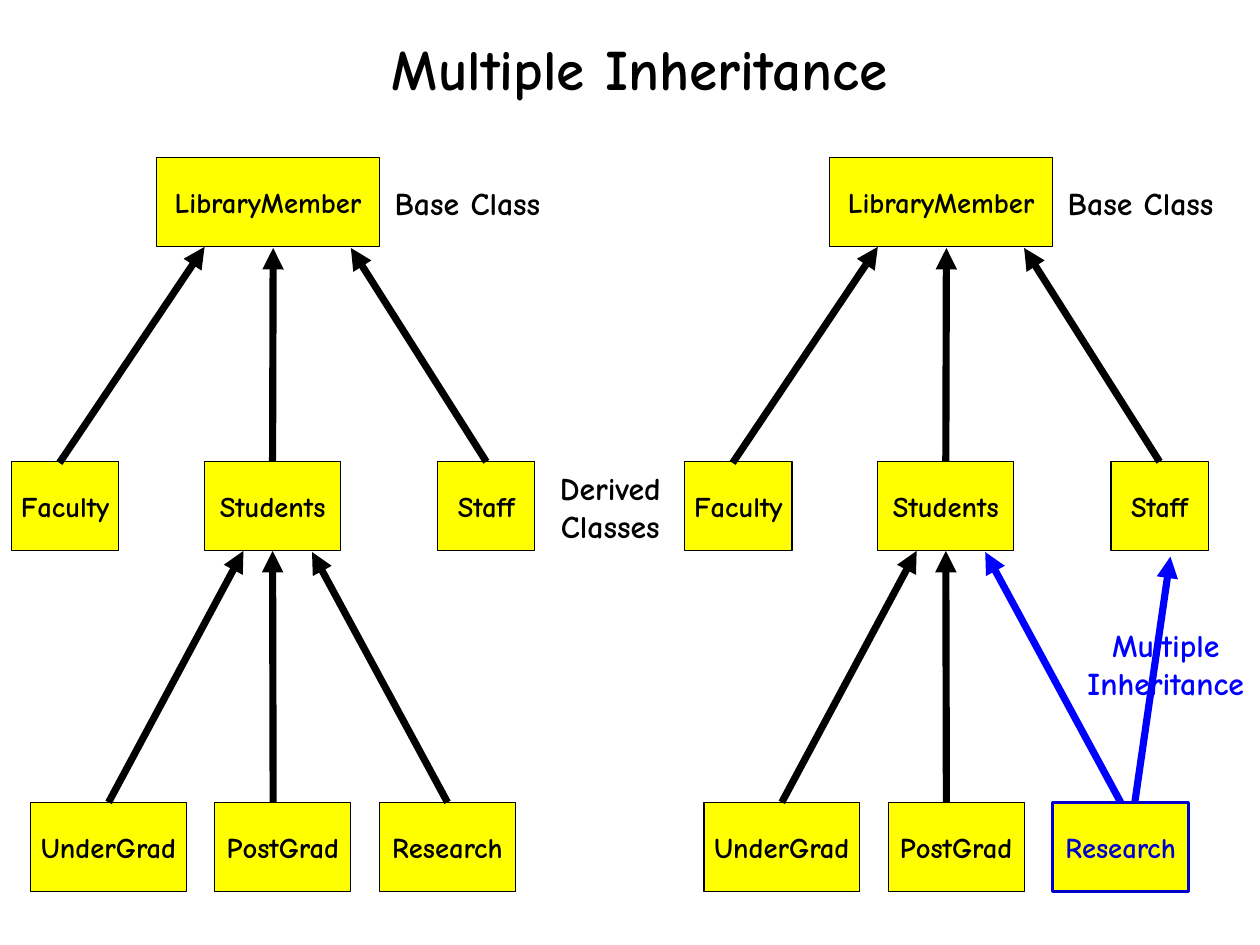
from pptx import Presentation
from pptx.dml.color import RGBColor
from pptx.enum.shapes import MSO_CONNECTOR, MSO_SHAPE
from pptx.enum.text import MSO_ANCHOR, MSO_AUTO_SIZE, PP_ALIGN
from pptx.oxml.ns import qn
from pptx.util import Inches, Pt
from lxml import etree

FONT = "Comic Neue"
COLORS = {"black": "000000", "yellow": "FFFF00", "navy": "0000CC", "blue": "0000FF"}
TOP, BOTTOM = 0, 2
BOX_HEIGHT = 0.78
TREE_OFFSET = 5.89

# name: left, top, width within one tree
CLASSES = {
    "LibraryMember": (1.37, 1.38, 1.95),
    "Faculty": (0.1, 4.04, 0.94),
    "Students": (1.79, 4.04, 1.19),
    "Staff": (3.83, 4.04, 0.85),
    "UnderGrad": (0.27, 7.02, 1.36),
    "PostGrad": (1.88, 7.02, 1.19),
    "Research": (3.32, 7.02, 1.19),
}
# child, start x, start y, parent, end x, end y, child joined, parent joined
ARROWS = [
    ("Faculty", 0.52, 4.05, "LibraryMember", 1.79, 2.16, False, False),
    ("Students", 2.39, 4.04, "LibraryMember", 2.39, 2.17, True, False),
    ("Staff", 4.26, 4.04, "LibraryMember", 3.07, 2.17, True, False),
    ("UnderGrad", 0.95, 7.02, "Students", 2.13, 4.82, True, False),
    ("PostGrad", 2.39, 7.02, "Students", 2.39, 4.82, False, True),
    ("Research", 3.92, 7.02, "Students", 2.73, 4.83, True, False),
]


def write_text(shape, lines, size, color):
    """Fill a shape with centred bold lines and no insets."""
    frame = shape.text_frame
    frame.auto_size = MSO_AUTO_SIZE.NONE
    frame.word_wrap = True
    frame.vertical_anchor = MSO_ANCHOR.MIDDLE
    frame.margin_left = frame.margin_right = frame.margin_top = frame.margin_bottom = 0
    frame.text = "\n".join(lines)
    for paragraph in frame.paragraphs:
        paragraph.alignment = PP_ALIGN.CENTER
        paragraph.font.name = FONT
        paragraph.font.size = Pt(size)
        paragraph.font.bold = True
        paragraph.font.color.rgb = RGBColor.from_string(COLORS[color])


def add_arrow(start_x, start_y, end_x, end_y, color):
    arrow = slide.shapes.add_connector(
        MSO_CONNECTOR.STRAIGHT,
        Inches(start_x), Inches(start_y), Inches(end_x), Inches(end_y))
    arrow.line.width = Pt(4.5)
    arrow.line.color.rgb = RGBColor.from_string(COLORS[color])
    properties = arrow._element.spPr
    etree.SubElement(properties.find(qn("a:ln")), qn("a:tailEnd"), type="triangle")
    etree.SubElement(properties, qn("a:effectLst"))
    return arrow


# The page is 28 cm by 21 cm
presentation = Presentation()
presentation.slide_width = Inches(28 / 2.54)
presentation.slide_height = Inches(21 / 2.54)
slide = presentation.slides.add_slide(presentation.slide_layouts[5])

title = slide.shapes.title
title.left, title.top = Inches(0.54), Inches(0.1)
title.width, title.height = Inches(10.11), Inches(0.98)
write_text(title, ["Multiple Inheritance"], 36, "black")

for offset in (0, TREE_OFFSET):
    boxes = {}
    for name, (left, top, width) in CLASSES.items():
        inherits_twice = offset > 0 and name == "Research"
        color = "navy" if inherits_twice else "black"
        box = slide.shapes.add_shape(
            MSO_SHAPE.RECTANGLE, Inches(left + offset), Inches(top),
            Inches(width), Inches(BOX_HEIGHT))
        box.shadow.inherit = False
        box.fill.solid()
        box.fill.fore_color.rgb = RGBColor.from_string(COLORS["yellow"])
        box.line.color.rgb = RGBColor.from_string(COLORS[color])
        box.line.width = Pt(2.25 if inherits_twice else 0.75)
        write_text(box, [name], 18, color)
        boxes[name] = box

    for child, start_x, start_y, parent, end_x, end_y, child_joined, parent_joined in ARROWS:
        color = "blue" if offset > 0 and child == "Research" else "black"
        arrow = add_arrow(start_x + offset, start_y, end_x + offset, end_y, color)
        if child_joined:
            arrow.begin_connect(boxes[child], TOP)
        if parent_joined:
            arrow.end_connect(boxes[parent], BOTTOM)

# lines, centre x, top, width, color
LABELS = [
    (["Base Class"], 4.09, 1.38, 1.4, "black"),
    (["Derived", "Classes"], 5.34, 4.04, 1.1, "black"),
    (["Base Class"], 4.09 + TREE_OFFSET, 1.38, 1.4, "black"),
    (["Multiple", "Inheritance"], 10.2, 5.42, 1.5, "blue"),
]
for lines, center, top, width, color in LABELS:
    label = slide.shapes.add_textbox(
        Inches(center - width / 2), Inches(top), Inches(width), Inches(BOX_HEIGHT))
    write_text(label, lines, 20, color)

# Second parent of Research
add_arrow(9.93, 7.01, 10.24, 4.87, "blue")

presentation.save("out.pptx")
